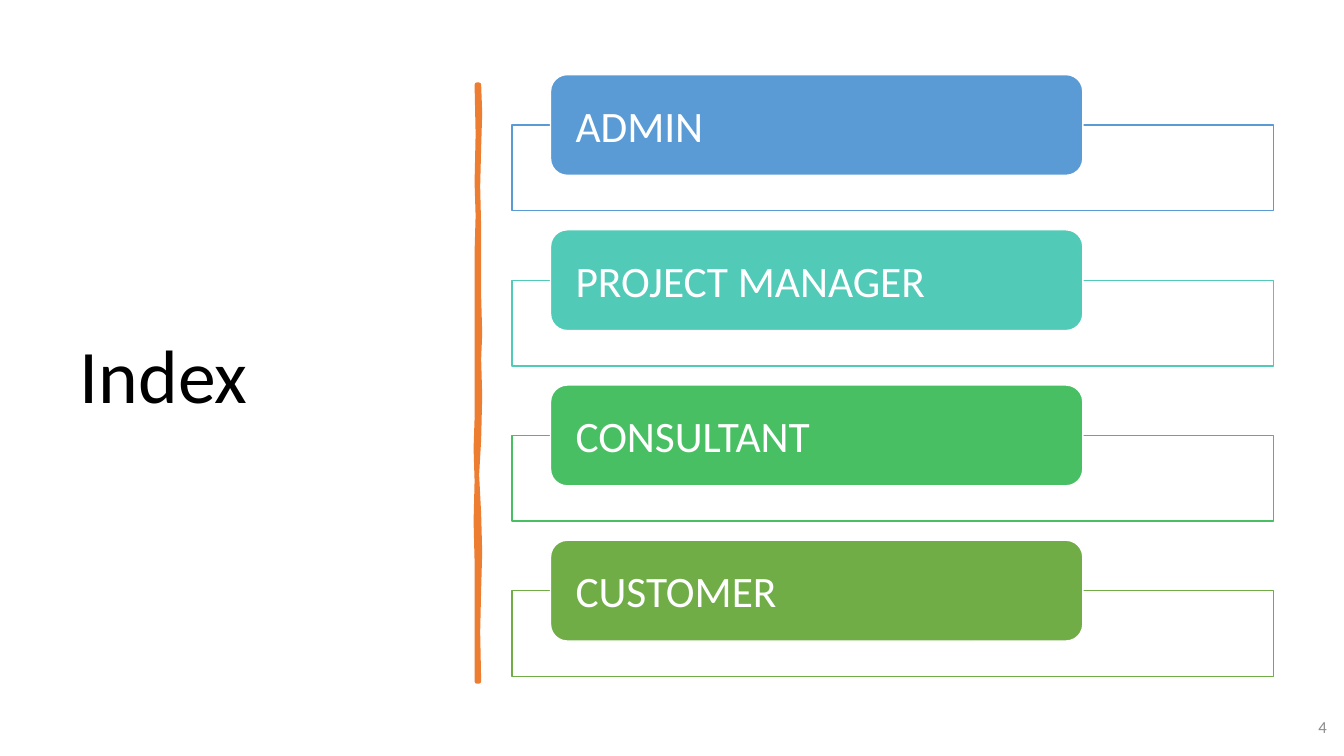
"""Build the index slide: a title, a brushed divider and four role panels."""
import pptx
import pptx.util
import pptx.dml.color
import pptx.enum.shapes
import pptx.enum.text
import pptx.oxml.ns
import lxml.etree
from pptx.util import Inches

COLORS = {
    "black": "000000", "white": "FFFFFF", "gray": "8C8C8C", "orange": "ED7D31",
    "blue": "5B9BD5", "teal": "52CAB8", "green": "49BF64", "olive": "70AD47",
}
TITLE = "Index"
PAGE_NUMBER = "4"
ROLES = [
    ("ADMIN", "blue"),
    ("PROJECT MANAGER", "teal"),
    ("CONSULTANT", "green"),
    ("CUSTOMER", "olive"),
]
BRUSH_OUTLINE = [
    (4.75, 0.84), (4.76, 1.12), (4.75, 1.46), (4.74, 1.85), (4.75, 2.26),
    (4.75, 2.94), (4.76, 3.31), (4.75, 3.56), (4.76, 3.93), (4.75, 4.36),
    (4.73, 4.71), (4.75, 5.1), (4.76, 5.48), (4.75, 5.84), (4.74, 6.27),
    (4.75, 6.76), (4.73, 6.76), (4.73, 6.13), (4.73, 5.57), (4.72, 5.17),
    (4.73, 4.77), (4.72, 4.45), (4.73, 4.15), (4.73, 3.35), (4.73, 2.5),
    (4.74, 2.14), (4.73, 1.81), (4.74, 1.33), (4.73, 0.84),
]
FIRST_LABEL_TOP, ROLE_PITCH, PANEL_DROP = 0.74, 1.54, 0.5


def rgb(color):
    return pptx.dml.color.RGBColor.from_string(COLORS[color])


def write(shape, text, size, color, align="LEFT", side_inset=0.1):
    frame = shape.text_frame
    layout = {
        "word_wrap": True,
        "auto_size": pptx.enum.text.MSO_AUTO_SIZE.NONE,
        "vertical_anchor": pptx.enum.text.MSO_ANCHOR.MIDDLE,
        "margin_left": Inches(side_inset),
        "margin_right": Inches(side_inset),
    }
    for name, value in layout.items():
        setattr(frame, name, value)
    paragraph = frame.paragraphs[0]
    paragraph.text = text
    paragraph.alignment = getattr(pptx.enum.text.PP_ALIGN, align)
    for name, value in {"name": "Calibri", "size": pptx.util.Pt(size)}.items():
        setattr(paragraph.font, name, value)
    paragraph.font.color.rgb = rgb(color)
    return paragraph


def paint(shape, fill, line, width):
    shape.shadow.inherit = False
    shape.fill.solid()
    shape.fill.fore_color.rgb = rgb(fill)
    shape.line.color.rgb = rgb(line)
    shape.line.width = pptx.util.Pt(width)


def add_box(slide, kind, place, fill, line):
    preset = getattr(pptx.enum.shapes.MSO_SHAPE, kind)
    box = slide.shapes.add_shape(preset, *map(Inches, place))
    paint(box, fill, line, 1)
    return box


def add_brush(slide):
    start, *rest = [(Inches(x), Inches(y)) for x, y in BRUSH_OUTLINE]
    builder = slide.shapes.build_freeform(*start)
    builder.add_line_segments(rest, close=True)
    brush = builder.convert_to_shape()
    paint(brush, "orange", "orange", 3.25)
    outline = brush.element.spPr.find(pptx.oxml.ns.qn("a:ln"))
    lxml.etree.SubElement(outline, pptx.oxml.ns.qn("a:round"))


def main():
    deck = pptx.Presentation()
    deck.slide_width, deck.slide_height = Inches(13.33), Inches(7.5)
    slide = deck.slides.add_slide(deck.slide_layouts[5])

    title = slide.shapes.title
    place = {"left": 0.69, "top": 0.7, "width": 3.74, "height": 6.11}
    for name, value in place.items():
        setattr(title, name, Inches(value))
    write(title, TITLE, 54, "black").line_spacing = 0.9

    add_brush(slide)

    for index, (role, color) in enumerate(ROLES):
        top = FIRST_LABEL_TOP + index * ROLE_PITCH
        add_box(slide, "RECTANGLE", (5.08, top + PANEL_DROP, 7.55, 0.85), "white", color)
        label = add_box(slide, "ROUNDED_RECTANGLE", (5.46, top, 5.28, 1), color, "white")
        write(label, role, 31, "white", side_inset=0.2)

    number = slide.shapes.add_textbox(*map(Inches, (12.53, 7.01, 0.73, 0.4)))
    write(number, PAGE_NUMBER, 12, "gray", "RIGHT")
    deck.save("out.pptx")


if __name__ == "__main__":
    main()
